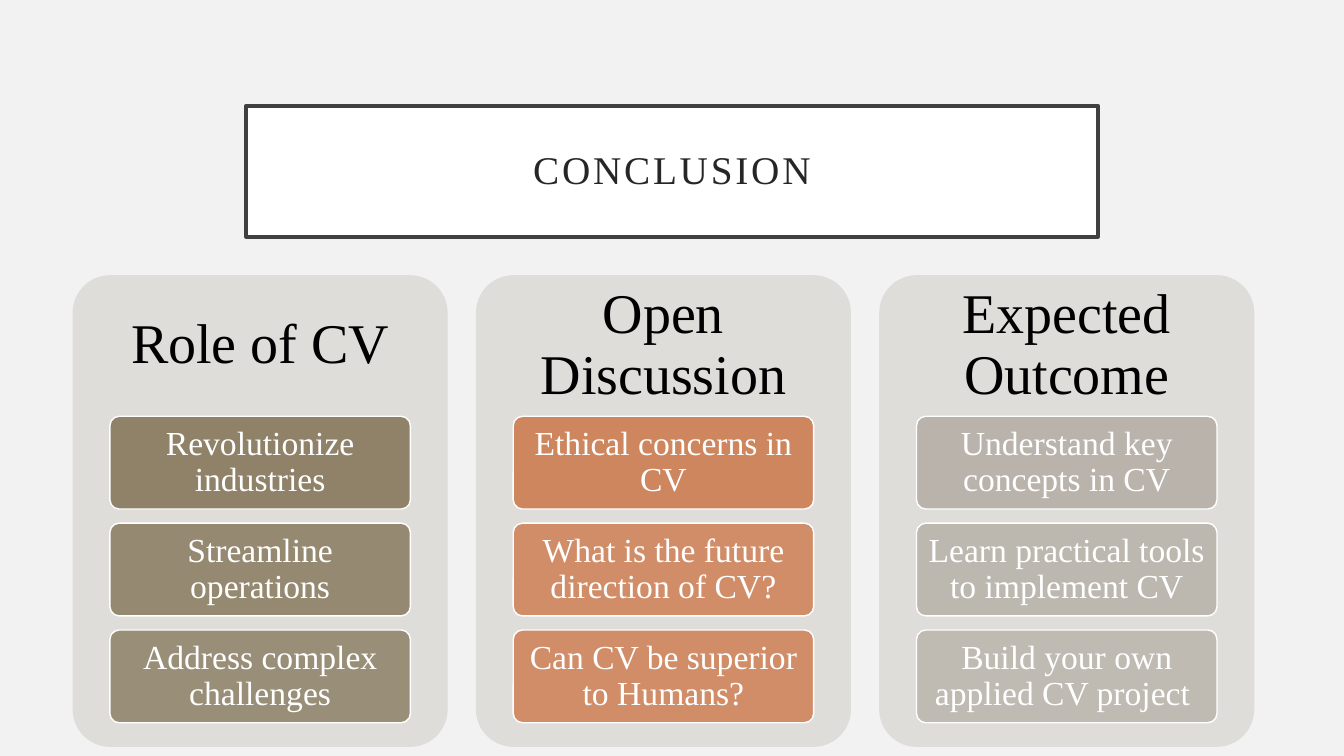
from lxml.etree import SubElement
from pptx import Presentation
from pptx.dml.color import RGBColor
from pptx.enum.shapes import MSO_SHAPE
from pptx.enum.text import MSO_ANCHOR, MSO_AUTO_SIZE, PP_ALIGN
from pptx.oxml.ns import qn
from pptx.util import Inches, Pt


def color(hex_string):
    return RGBColor.from_string(hex_string)


def write_text(shape, text, size, hex_string, side_inset, top_inset):
    """Write one centred paragraph and return its run."""
    frame = shape.text_frame
    frame_format = {
        "word_wrap": True,
        "auto_size": MSO_AUTO_SIZE.NONE,
        "vertical_anchor": MSO_ANCHOR.MIDDLE,
        "margin_left": Inches(side_inset),
        "margin_right": Inches(side_inset),
        "margin_top": Inches(top_inset),
        "margin_bottom": Inches(top_inset),
    }
    for name, value in frame_format.items():
        setattr(frame, name, value)
    paragraph = frame.paragraphs[0]
    paragraph.alignment = PP_ALIGN.CENTER
    paragraph.line_spacing = 0.9
    run = paragraph.add_run()
    run.text = text
    run.font.color.rgb = color(hex_string)
    for name, value in {"name": "Times New Roman", "size": Pt(size)}.items():
        setattr(run.font, name, value)
    return run


presentation = Presentation()
presentation.slide_width = Inches(13.33)
presentation.slide_height = Inches(7.5)
slide = presentation.slides.add_slide(presentation.slide_layouts[5])
slide.background.fill.solid()
slide.background.fill.fore_color.rgb = color("F2F2F2")

# Title in a framed box
title = slide.shapes.title
title_place = {"left": 2.44, "top": 1.05, "width": 8.45, "height": 1.3}
for name, value in title_place.items():
    setattr(title, name, Inches(value))
title.fill.solid()
title.fill.fore_color.rgb = color("FFFFFF")
title.line.color.rgb = color("404040")
title.line.width = Pt(2.5)
title_run = write_text(title, "CONCLUSION", 28, "262626", 0.2, 0.2)
title_run.font._element.set("spc", "200")

# Heading, card colour, and cards with their opacity in percent
columns = [
    ("Role of CV", "87795D", [
        ("Revolutionize industries", 90),
        ("Streamline operations", 84),
        ("Address complex challenges", 79),
    ]),
    ("Open Discussion", "C96731", [
        ("Ethical concerns in CV", 73),
        ("What is the future direction of CV?", 67),
        ("Can CV be superior to Humans?", 67),
    ]),
    ("Expected Outcome", "A0988C", [
        ("Understand key concepts in CV", 60),
        ("Learn practical tools to implement CV", 55),
        ("Build your own applied CV project ", 50),
    ]),
]

# Grid of panels and cards
panel_left, panel_top, column_step = 0.72, 2.73, 4
panel_width, panel_height, heading_height = 3.72, 4.68, 1.4
card_width, card_height, row_step = 2.98, 0.92, 1.06
card_indent = (panel_width - card_width) / 2

for column, (heading_text, card_color, cards) in enumerate(columns):
    left = panel_left + column * column_step

    # Panel
    panel = slide.shapes.add_shape(
        MSO_SHAPE.ROUNDED_RECTANGLE, Inches(left), Inches(panel_top),
        Inches(panel_width), Inches(panel_height))
    panel.adjustments[0] = 0.1
    panel.shadow.inherit = False
    panel.fill.solid()
    panel.fill.fore_color.rgb = color("DFDDDA")
    panel.line.fill.background()

    # Heading
    heading = slide.shapes.add_textbox(
        Inches(left), Inches(panel_top),
        Inches(panel_width), Inches(heading_height))
    write_text(heading, heading_text, 40, "000000", 0.17, 0.17)

    # Cards
    for row, (card_text, opacity) in enumerate(cards):
        card_top = panel_top + heading_height + row * row_step
        card = slide.shapes.add_shape(
            MSO_SHAPE.ROUNDED_RECTANGLE,
            Inches(left + card_indent), Inches(card_top),
            Inches(card_width), Inches(card_height))
        card.adjustments[0] = 0.1
        card.shadow.inherit = False
        card.fill.solid()
        card.fill.fore_color.rgb = color(card_color)
        fill_color = card._element.spPr.find(qn("a:solidFill"))[0]
        SubElement(fill_color, qn("a:alpha"), val=str(opacity * 1000))
        card.line.color.rgb = color("FFFFFF")
        card.line.width = Pt(1)
        write_text(card, card_text, 24, "FFFFFF", 0.07, 0.05)

presentation.save("out.pptx")
